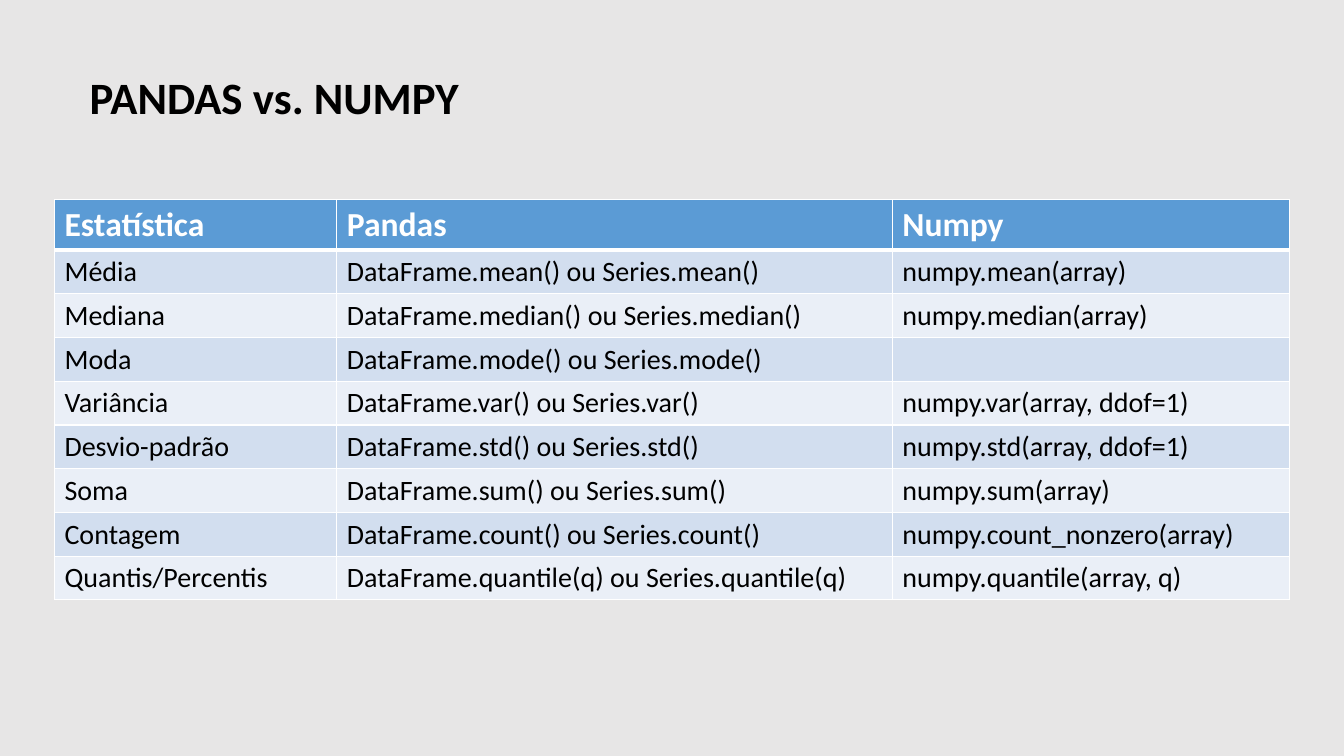
from dataclasses import dataclass

from lxml.etree import SubElement
from pptx import Presentation
from pptx.dml.color import RGBColor
from pptx.oxml.ns import qn
from pptx.util import Inches, Pt


@dataclass(frozen=True)
class Theme:
    """Colours, font and type sizes of the slide."""

    font: str = "Calibri"
    background: str = "E7E6E6"
    ink: str = "000000"
    white: str = "FFFFFF"
    header: str = "5B9BD5"
    bands: tuple = ("D2DEEF", "EAEFF7")
    title_size: int = 32
    header_size: int = 24
    body_size: int = 20
    border: float = 0.96
    header_rule: float = 3


THEME = Theme()
HEADINGS = ("Estatística", "Pandas", "Numpy")
STATISTICS = (
    ("Média", "mean()", "numpy.mean(array)"),
    ("Mediana", "median()", "numpy.median(array)"),
    ("Moda", "mode()", ""),
    ("Variância", "var()", "numpy.var(array, ddof=1)"),
    ("Desvio-padrão", "std()", "numpy.std(array, ddof=1)"),
    ("Soma", "sum()", "numpy.sum(array)"),
    ("Contagem", "count()", "numpy.count_nonzero(array)"),
    ("Quantis/Percentis", "quantile(q)", "numpy.quantile(array, q)"),
)
COLUMN_WIDTHS = (2.8, 5.51, 3.94)
ROW_HEIGHT = 0.41


def write(frame, text, *, size, color=THEME.ink, bold=False):
    """Put one formatted line of text in a text frame."""
    para = frame.paragraphs[0]
    para.font.size = Pt(size)
    if text:
        span = para.add_run()
        span.text = text
        span.font.name = THEME.font
        span.font.size = Pt(size)
        span.font.bold = bold
        span.font.color.rgb = RGBColor.from_string(color)


def set_borders(cell, **widths):
    """Draw white cell borders, with widths in points keyed by side."""
    properties = cell._tc.get_or_add_tcPr()
    for side in "LRTB":
        width = Pt(widths.get(side, THEME.border))
        line = SubElement(properties, qn(f"a:ln{side}"), w=str(int(width)))
        fill = SubElement(line, qn("a:solidFill"))
        SubElement(fill, qn("a:srgbClr"), val=THEME.white)


def fill_cell(cell, text, *, fill, borders, **text_format):
    """Write, border and colour one table cell."""
    write(cell.text_frame, text, **text_format)
    set_borders(cell, **borders)
    cell.fill.solid()
    cell.fill.fore_color.rgb = RGBColor.from_string(fill)


def add_title(page, text):
    """Add the slide title."""
    box = page.shapes.add_textbox(Inches(0.79), Inches(0.64), Inches(5.09), Inches(0.63))
    box.text_frame.word_wrap = True
    write(box.text_frame, text, size=THEME.title_size, bold=True)


def add_comparison(page):
    """Add the table that sets Pandas calls beside Numpy calls."""
    rows = [HEADINGS] + [
        (name, f"DataFrame.{call} ou Series.{call}", numpy_call)
        for name, call, numpy_call in STATISTICS
    ]
    table = page.shapes.add_table(
        len(rows), len(HEADINGS), Inches(0.54), Inches(1.98),
        Inches(sum(COLUMN_WIDTHS)), Inches(ROW_HEIGHT * len(rows)),
    ).table
    for column, width in zip(table.columns, COLUMN_WIDTHS):
        column.width = Inches(width)
    header_style = dict(fill=THEME.header, size=THEME.header_size, color=THEME.white,
                        bold=True, borders={"B": THEME.header_rule})
    for index, texts in enumerate(rows):
        table.rows[index].height = Inches(ROW_HEIGHT)
        style = header_style if index == 0 else dict(
            fill=THEME.bands[(index - 1) % 2], size=THEME.body_size,
            borders={"T": THEME.header_rule} if index == 1 else {})
        for cell, text in zip(table.rows[index].cells, texts):
            fill_cell(cell, text, **style)


def main():
    """Build and save the slide."""
    deck = Presentation()
    deck.slide_width, deck.slide_height = Inches(13.33), Inches(7.5)
    page = deck.slides.add_slide(deck.slide_layouts[6])
    page.background.fill.solid()
    page.background.fill.fore_color.rgb = RGBColor.from_string(THEME.background)
    add_title(page, "PANDAS vs. NUMPY")
    add_comparison(page)
    deck.save("out.pptx")


if __name__ == "__main__":
    main()
